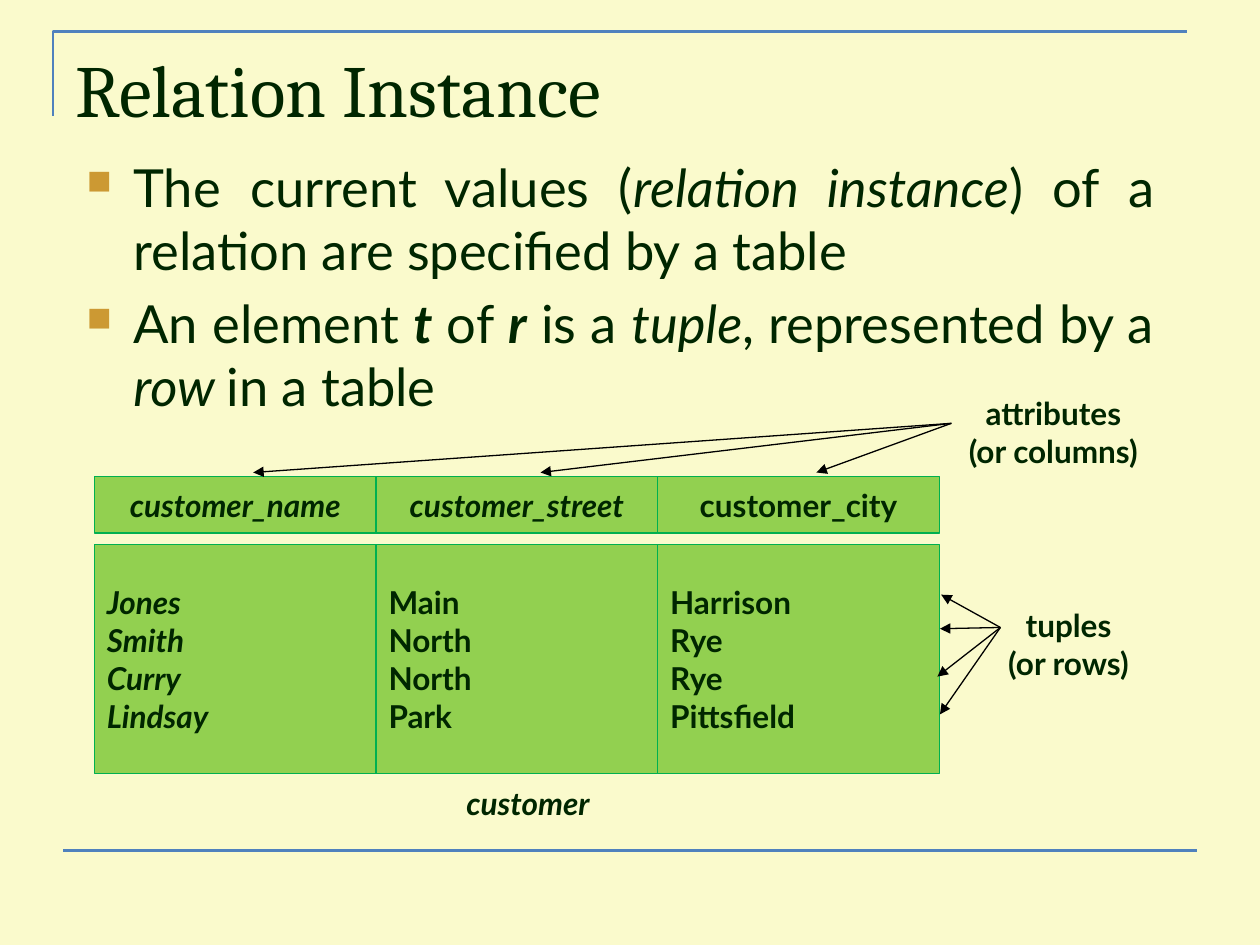
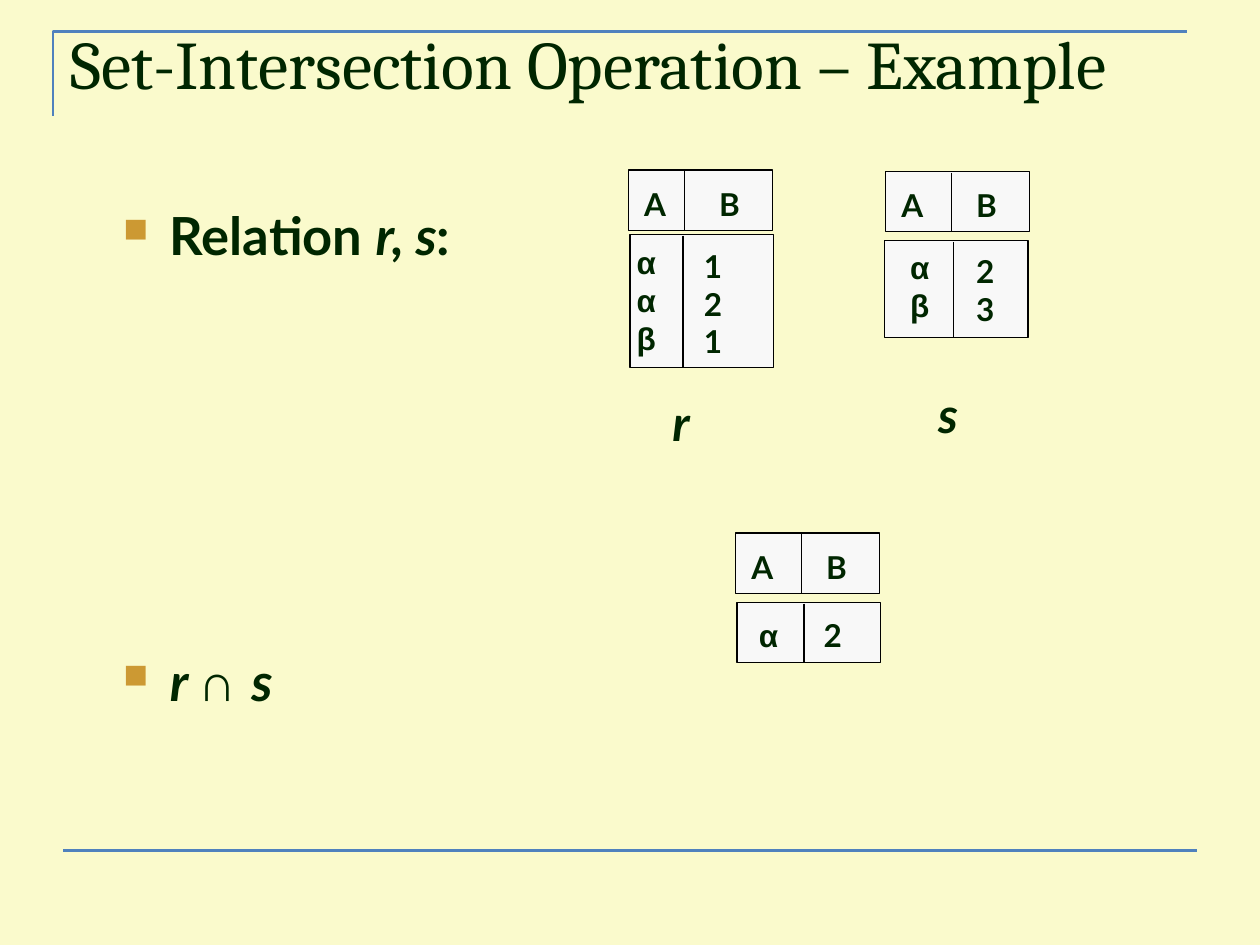
from dataclasses import dataclass
from typing import NamedTuple

from lxml.etree import SubElement
from pptx import Presentation
from pptx.dml.color import RGBColor
from pptx.enum.shapes import MSO_CONNECTOR as CONN, MSO_SHAPE as SHAPE
from pptx.enum.text import MSO_ANCHOR as ANCHOR, PP_ALIGN as ALIGN
from pptx.oxml.ns import qn
from pptx.util import Inches, Pt

COLORS = {
    "background": "FAFACC",
    "text": "002600",
    "frame": "4F81BD",
    "bullet": "CC9933",
    "customer_fill": "92D050",
    "customer_line": "00B050",
    "relation_fill": "F8F8F8",
    "black": "000000",
}
HEADING_FONT, BODY_FONT, SYMBOL_FONT = "Cambria", "Lato", "Arial"


class Box(NamedTuple):
    x: float
    y: float
    w: float
    h: float


class Run(NamedTuple):
    text: str
    bold: bool = False
    italic: bool = False
    font: str = BODY_FONT


class Bullet(NamedTuple):
    runs: list[Run]
    before: float = 6


@dataclass
class Column:
    name: str
    values: list[str]
    name_italic: bool = False
    values_italic: bool = False


@dataclass
class Fan:
    start: tuple[float, float]
    ends: list[tuple[float, float]]


@dataclass
class Relation:
    header: Box
    body: Box
    split: tuple[float, float]
    letters: list[str]
    numbers: list[str]
    centers: tuple[float, float]
    tops: tuple[float, float]


def rgb(name: str) -> RGBColor:
    return RGBColor.from_string(COLORS[name])


def lengths(box: Box) -> list[int]:
    return [Inches(v) for v in box]


def add_run(p, run: Run, size: float) -> None:
    r = p.add_run()
    r.text = run.text
    r.font.size = Pt(size)
    r.font.name = run.font
    r.font.bold = run.bold
    r.font.italic = run.italic
    r.font.color.rgb = rgb("text")


def write_lines(tf, lines: list[Run], size: float, align: ALIGN) -> None:
    for i, line in enumerate(lines):
        p = tf.add_paragraph() if i else tf.paragraphs[0]
        p.alignment = align
        add_run(p, line, size)


def add_label(s, box: Box, lines: list[Run], size: float = 18) -> None:
    tf = s.shapes.add_textbox(*lengths(box)).text_frame
    tf.word_wrap = False
    write_lines(tf, lines, size, ALIGN.CENTER)


def add_rect(s, box: Box, fill: str, line: str):
    sp = s.shapes.add_shape(SHAPE.RECTANGLE, *lengths(box))
    sp.shadow.inherit = False
    sp.fill.solid()
    sp.fill.fore_color.rgb = rgb(fill)
    sp.line.color.rgb = rgb(line)
    sp.line.width = Pt(0.75)
    return sp


def add_line(s, start: tuple[float, float], end: tuple[float, float],
             color: str = "black", width: float = 0.75, arrow: bool = False) -> None:
    points = [Inches(v) for v in (*start, *end)]
    cn = s.shapes.add_connector(CONN.STRAIGHT, *points)
    cn.line.color.rgb = rgb(color)
    cn.line.width = Pt(width)
    if arrow:
        SubElement(cn.line._get_or_add_ln(), qn("a:tailEnd"), type="triangle")
    SubElement(cn._element.spPr, qn("a:effectLst"))


def add_frame(s) -> None:
    s.background.fill.solid()
    s.background.fill.fore_color.rgb = rgb("background")
    fb = s.shapes.build_freeform(Inches(0.42), Inches(0.92))
    fb.add_line_segments([(Inches(0.42), Inches(0.25)), (Inches(9.42), Inches(0.25))], close=False)
    corner = fb.convert_to_shape()
    corner.shadow.inherit = False
    corner.fill.background()
    corner.line.color.rgb = rgb("frame")
    corner.line.width = Pt(1.5)
    add_line(s, (0.5, 6.75), (9.5, 6.75), "frame", 1.5)


def add_title(s, text: str, box: Box, size: float, spacing: float = 1.0) -> None:
    tf = s.shapes.add_textbox(*lengths(box)).text_frame
    tf.word_wrap = True
    p = tf.paragraphs[0]
    p.line_spacing = spacing
    add_run(p, Run(text, font=HEADING_FONT), size)


def add_bullets(s, box: Box, bullets: list[Bullet], align: ALIGN) -> None:
    tf = s.shapes.add_textbox(*lengths(box)).text_frame
    tf.word_wrap = True
    for i, bullet in enumerate(bullets):
        p = tf.add_paragraph() if i else tf.paragraphs[0]
        p.alignment = align
        p.space_before = Pt(bullet.before)
        pPr = p._p.get_or_add_pPr()
        pPr.set("marL", str(Inches(0.38)))
        pPr.set("indent", str(Inches(-0.37)))
        color = SubElement(pPr, qn("a:buClr"))
        SubElement(color, qn("a:srgbClr"), val=COLORS["bullet"])
        SubElement(pPr, qn("a:buSzPct"), val="65000")
        SubElement(pPr, qn("a:buChar"), char="■")
        for run in bullet.runs:
            add_run(p, run, 30)


def add_column(s, index: int, column: Column) -> None:
    x, width = 0.75 + index * 2.235, 2.235
    cells = [
        (Box(x, 4.32, width, 1.82), column.values, column.values_italic, ALIGN.LEFT),
        (Box(x, 3.78, width, 0.45), [column.name], column.name_italic, ALIGN.CENTER),
    ]
    for box, texts, italic, align in cells:
        tf = add_rect(s, box, "customer_fill", "customer_line").text_frame
        tf.word_wrap = True
        tf.vertical_anchor = ANCHOR.MIDDLE
        write_lines(tf, [Run(t, True, italic) for t in texts], 18, align)


def add_relation(s, relation: Relation) -> None:
    for box, split in zip((relation.header, relation.body), relation.split):
        add_rect(s, box, "relation_fill", "black")
        add_line(s, (split, box.y + 0.01), (split, box.y + box.h))
    header = relation.header
    for name, offset in (("A", 0.21), ("B", 0.8)):
        add_label(s, Box(header.x + offset - 0.2, header.y + 0.07, 0.4, 0.4), [Run(name, True)])
    columns = ((relation.letters, SYMBOL_FONT), (relation.numbers, BODY_FONT))
    for (values, font), center, top in zip(columns, relation.centers, relation.tops):
        box = Box(center - 0.2, top, 0.4, 0.1 + 0.3 * len(values))
        add_label(s, box, [Run(v, True, font=font) for v in values])


def build_relation_instance(s) -> None:
    add_frame(s)
    add_title(s, "Relation Instance", Box(0.5, 0.3, 9, 1.25), 42)
    add_bullets(s, Box(0.58, 1.18, 8.68, 2.16), [
        Bullet([Run("The current values ("), Run("relation instance", italic=True),
                Run(") of a relation are specified by a table")]),
        Bullet([Run("An element "), Run("t", True, True), Run(" of "), Run("r", True, True),
                Run(" is a "), Run("tuple", italic=True), Run(", represented by a "),
                Run("row ", italic=True), Run("in a table")]),
    ], ALIGN.JUSTIFY)
    columns = [
        Column("customer_name", ["Jones", "Smith", "Curry", "Lindsay"], True, True),
        Column("customer_street", ["Main", "North", "North", "Park"], True),
        Column("customer_city", ["Harrison", "Rye", "Rye", "Pittsfield"]),
    ]
    for i, column in enumerate(columns):
        add_column(s, i, column)
    add_label(s, Box(3.43, 6.17, 1.52, 0.4), [Run("customer", True, True)])
    add_label(s, Box(7.37, 3.08, 1.98, 0.7), [Run("attributes", True), Run("(or columns)", True)])
    add_label(s, Box(7.74, 4.76, 1.48, 0.7), [Run("tuples", True), Run("(or rows)", True)])
    fans = [
        Fan((7.55, 3.36), [(2.01, 3.75), (4.29, 3.75), (6.48, 3.75)]),
        Fan((7.94, 4.98), [(7.47, 4.72), (7.46, 4.99), (7.44, 5.37), (7.46, 5.67)]),
    ]
    for fan in fans:
        for end in fan.ends:
            add_line(s, fan.start, end, arrow=True)


def build_set_intersection(s) -> None:
    add_frame(s)
    add_title(s, "Set-Intersection Operation – Example", Box(0.46, 0.25, 9.15, 0.67), 38.9, 0.8)
    add_bullets(s, Box(0.87, 1.56, 3.8, 4.95), [
        Bullet([Run("Relation ", True), Run("r, s", True, True), Run(":", True)]),
        Bullet([Run("r ", True, True), Run("∩ ", True, font=SYMBOL_FONT),
                Run("s", True, True)], 219),
    ], ALIGN.LEFT)
    relations = [
        Relation(Box(7.03, 1.36, 1.14, 0.48), Box(7.02, 1.91, 1.14, 0.77), (7.55, 7.57),
                 ["α", "β"], ["2", "3"], (7.3, 7.82), (1.92, 1.95)),
        Relation(Box(4.99, 1.35, 1.14, 0.48), Box(5, 1.86, 1.14, 1.06), (5.43, 5.42),
                 ["α", "α", "β"], ["1", "2", "1"], (5.13, 5.66), (1.88, 1.91)),
        Relation(Box(5.84, 4.23, 1.14, 0.48), Box(5.85, 4.78, 1.14, 0.48), (6.36, 6.38),
                 ["α"], ["2"], (6.1, 6.61), (4.84, 4.84)),
    ]
    for relation in relations:
        add_relation(s, relation)
    add_label(s, Box(5.21, 3.07, 0.39, 0.56), [Run("r", True, True)], 28)
    add_label(s, Box(7.31, 3, 0.43, 0.56), [Run("s", True, True)], 28)


def main() -> None:
    prs = Presentation()
    prs.slide_width, prs.slide_height = Inches(10), Inches(7.5)
    for build in (build_relation_instance, build_set_intersection):
        build(prs.slides.add_slide(prs.slide_layouts[6]))
    prs.save("out.pptx")


if __name__ == "__main__":
    main()
